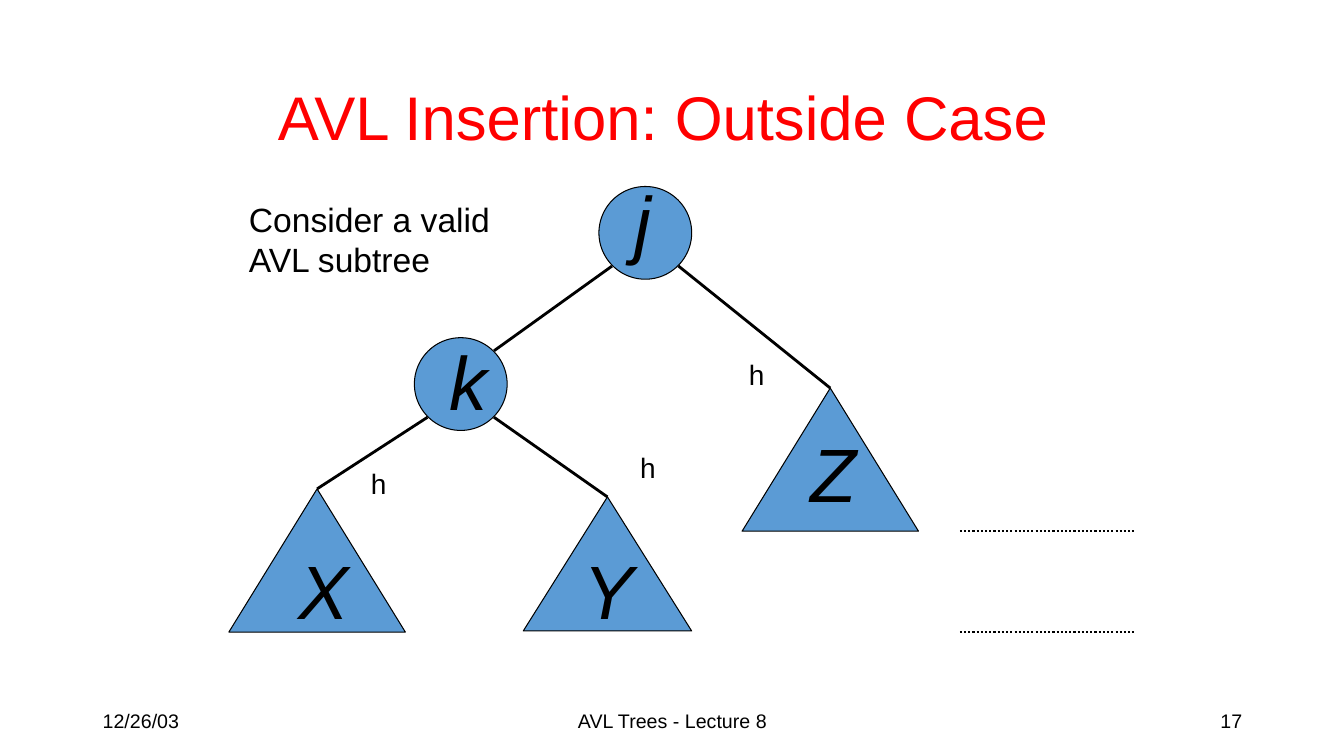
import math

import pptx
import pptx.util
import pptx.dml.color
import pptx.enum.dml
import pptx.enum.shapes
import pptx.enum.text
import pptx.oxml.ns
from lxml import etree

EMU = 9144  # one px is a hundredth of an inch
KIND = pptx.enum.shapes.MSO_SHAPE
ALIGN = pptx.enum.text.PP_ALIGN
ANCHOR = pptx.enum.text.MSO_ANCHOR

THEME = {
    "font": "Arial",
    "ink": "000000",
    "title": "FF0000",
    "fill": "5B9BD5",
    "size": {"title": 44, "key": 54, "note": 24, "mark": 20, "foot": 14},
}
SIDE = 92  # node diameter


def px(*vals):
    return [pptx.util.Emu(val * EMU) for val in vals]


def rgb(name):
    return pptx.dml.color.RGBColor.from_string(THEME[name])


def apply(item, form):
    for name, val in form.items():
        setattr(item, name, val)


def text(slide, box, lines, style, color="ink", align=ALIGN.LEFT,
         anchor=ANCHOR.TOP, wrap=True, italic=False):
    frame = slide.shapes.add_textbox(*px(*box)).text_frame
    apply(frame, {"word_wrap": wrap, "vertical_anchor": anchor})
    frame.text = lines
    for para in frame.paragraphs:
        para.alignment = align
        apply(para.font, {
            "name": THEME["font"],
            "size": pptx.util.Pt(THEME["size"][style]),
            "italic": italic,
        })
        para.font.color.rgb = rgb(color)


def solid(slide, kind, box):
    shape = slide.shapes.add_shape(kind, *px(*box))
    shape.shadow.inherit = False
    shape.fill.solid()
    shape.fill.fore_color.rgb = rgb("fill")
    shape.line.color.rgb = rgb("ink")
    shape.line.width = pptx.util.Pt(0.75)
    return shape


def key(slide, name, left, top):
    text(slide, (left, top, 56, 100), name, "key",
         anchor=ANCHOR.BOTTOM, italic=True)


def node(slide, name, left, top, spot):
    solid(slide, KIND.OVAL, (left, top, SIDE, SIDE))
    key(slide, name, *spot)
    return left + SIDE // 2, top + SIDE // 2


def tree(slide, name, box, spot):
    shape = solid(slide, KIND.ISOSCELES_TRIANGLE, box)
    key(slide, name, *spot)
    return shape


def line(slide, start, end, width=2, dash=None):
    link = slide.shapes.add_connector(
        pptx.enum.shapes.MSO_CONNECTOR.STRAIGHT, *px(*start, *end))
    etree.SubElement(link._element.spPr, pptx.oxml.ns.qn("a:effectLst"))
    link.line.color.rgb = rgb("ink")
    apply(link.line, {"width": pptx.util.Pt(width), "dash_style": dash})
    return link


def rim(mid, across, down):
    """Point on a node's rim, on the diagonal toward across and down."""
    step = round(SIDE / 2 * math.sqrt(0.5))
    return mid[0] + across * step, mid[1] + down * step


def branch(slide, mid, across, shape):
    start = rim(mid, across, 1)
    link = line(slide, start, start)
    link.end_connect(shape, 0)


def main():
    deck = pptx.Presentation()
    deck.slide_width, deck.slide_height = px(1333, 750)
    slide = deck.slides.add_slide(deck.slide_layouts[6])

    # Footer
    for left, width, words, align in (
            (92, 300, "12/26/03", ALIGN.LEFT),
            (442, 450, "AVL Trees - Lecture 8", ALIGN.CENTER),
            (942, 300, "17", ALIGN.RIGHT)):
        text(slide, (left, 695, width, 40), words, "foot",
             align=align, anchor=ANCHOR.MIDDLE)

    # Nodes and subtrees
    root = node(slide, "j", 594, 185, (619, 168))
    child = node(slide, "k", 411, 335, (436, 327))
    low = tree(slide, "X", (227, 485, 175, 142), (286, 535))
    mid = tree(slide, "Y", (519, 493, 167, 133), (569, 535))
    high = tree(slide, "Z", (736, 385, 175, 142), (794, 418))

    # Branches
    line(slide, rim(root, -1, 1), rim(child, 1, -1))
    branch(slide, child, -1, low)
    branch(slide, child, 1, mid)
    branch(slide, root, 1, high)

    # Level marks
    for level in (527, 627):
        line(slide, (952, level), (1127, level), 1.5,
             pptx.enum.dml.MSO_LINE.ROUND_DOT)

    # Title, note and heights
    text(slide, (237, 192, 262, 91), "Consider a valid\nAVL subtree", "note",
         wrap=False)
    text(slide, (239, 71, 855, 88), "AVL Insertion: Outside Case ", "title",
         color="title", align=ALIGN.CENTER, anchor=ANCHOR.MIDDLE)
    for left, top in ((733, 350), (358, 458), (625, 442)):
        text(slide, (left, top, 36, 43), "h", "mark", wrap=False)

    deck.save("out.pptx")


if __name__ == "__main__":
    main()
